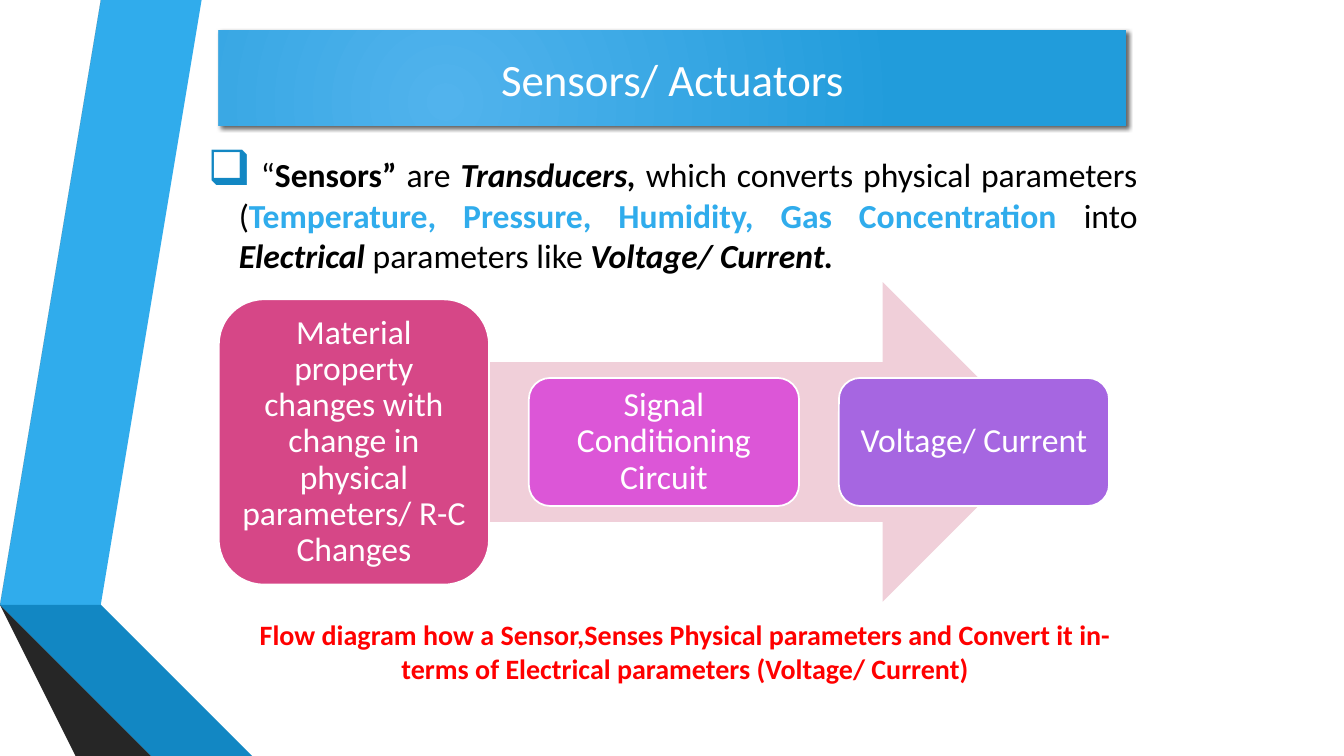
from lxml.etree import SubElement
from pptx import Presentation
from pptx.dml.color import RGBColor
from pptx.enum.shapes import MSO_SHAPE
from pptx.enum.text import MSO_ANCHOR, PP_ALIGN
from pptx.oxml import parse_xml
from pptx.oxml.ns import nsdecls, qn
from pptx.util import Inches, Pt

TITLE = "Sensors/ Actuators"
BLACK, BLUE, WHITE = "000000", "30ACEC", "FFFFFF"
# text, bold, italic, colour
INTRO = [
    (" “", False, False, BLACK),
    ("Sensors”", True, False, BLACK),
    (" are ", False, False, BLACK),
    ("Transducers, ", True, True, BLACK),
    ("which converts physical parameters (", False, False, BLACK),
    ("Temperature, Pressure, Humidity, Gas Concentration ", True, False, BLUE),
    ("into ", False, False, BLACK),
    ("Electrical", True, True, BLACK),
    (" parameters like ", False, False, BLACK),
    ("Voltage/ Current.", True, True, BLACK),
]
# text, height, colour
STEPS = [
    ("Material property changes with change in physical parameters/ R-C Changes",
     2.83, "D64787"),
    ("Signal Conditioning Circuit", 1.27, "DC56D7"),
    ("Voltage/ Current", 1.27, "A666E1"),
]
CAPTION = ("Flow diagram how a Sensor,Senses Physical parameters and Convert it "
           "in-terms of Electrical parameters (Voltage/ Current)")
BANDS = [
    (BLUE, [(0.5, 5.78), (0.77, 5.83), (1.73, 0), (1.45, 0)]),
    ("595959", [(1.39, 0), (1.11, 0), (0.16, 5.73), (0.44, 5.77)]),
    ("262626", [(0.16, 5.73), (1.45, 7.5), (1.51, 7.5)]),
    ("0C5A82", [(0.5, 5.79), (2.08, 7.5), (2.14, 7.5)]),
    ("1287C3", [(0.5, 5.78), (0.5, 5.79), (2.14, 7.5), (2.83, 7.5), (0.77, 5.83)]),
    ("404040", [(2.02, 7.5), (0.48, 5.83), (0.43, 5.77), (0.16, 5.73), (1.51, 7.5)]),
]
STEP_X, STEP_W, PITCH, MID_Y = 2.17, 2.68, 3.075, 4.385

deck = Presentation()
deck.slide_width, deck.slide_height = Inches(13.33), Inches(7.5)
shapes = deck.slides.add_slide(deck.slide_layouts[6]).shapes


def color(code):
    return RGBColor.from_string(code)


def paint(shape, code):
    """Flat fill with no outline and no shadow."""
    shape.shadow.inherit = False
    shape.fill.solid()
    shape.fill.fore_color.rgb = color(code)
    shape.line.fill.background()


def add(kind, x, y, w, h, code):
    shape = shapes.add_shape(kind, Inches(x), Inches(y), Inches(w), Inches(h))
    paint(shape, code)
    return shape


def box(x, y, w, h):
    frame = shapes.add_textbox(Inches(x), Inches(y), Inches(w), Inches(h)).text_frame
    frame.word_wrap = True
    return frame


def style(para, size, code=None, align=PP_ALIGN.CENTER):
    para.alignment = align
    para.font.name, para.font.size = "Calibri", Pt(size)
    if code:
        para.font.color.rgb = color(code)


def write(frame, text, size, code):
    frame.word_wrap = True
    para = frame.paragraphs[0]
    para.text = text
    style(para, size, code)
    return para


def glow(shape):
    """Radial blue gradient and a soft shadow below."""
    props = shape._element.spPr
    props.replace(props.find(qn("a:solidFill")), parse_xml(
        f'<a:gradFill {nsdecls("a")} rotWithShape="1"><a:gsLst>'
        '<a:gs pos="0"><a:srgbClr val="51B3ED"/></a:gs>'
        '<a:gs pos="100000"><a:srgbClr val="219CDB"/></a:gs></a:gsLst>'
        '<a:path path="circle"><a:fillToRect l="50000" t="100000" r="100000" '
        'b="50000"/></a:path></a:gradFill>'))
    props.find(qn("a:effectLst")).append(parse_xml(
        f'<a:outerShdw {nsdecls("a")} blurRad="38100" dist="25400" dir="2700000">'
        '<a:srgbClr val="000000"><a:alpha val="60000"/></a:srgbClr></a:outerShdw>'))


def bullet(para, mark, code, percent):
    props = para._p.get_or_add_pPr()
    props.set("marL", str(Inches(0.31)))
    props.set("indent", str(-Inches(0.31)))
    SubElement(SubElement(props, qn("a:buClr")), qn("a:srgbClr")).set("val", code)
    SubElement(props, qn("a:buSzPct")).set("val", str(percent * 1000))
    SubElement(props, qn("a:buChar")).set("char", mark)


for code, points in BANDS:
    path = shapes.build_freeform(*points[0], scale=Inches(1))
    path.add_line_segments(points[1:], close=True)
    paint(path.convert_to_shape(), code)

banner = add(MSO_SHAPE.RECTANGLE, 2.17, 0.3, 9, 0.95, BLUE)
glow(banner)
banner.text_frame.vertical_anchor = MSO_ANCHOR.MIDDLE
write(banner.text_frame, TITLE, 32, WHITE)

intro = box(1.96, 1.48, 9.42, 1.35).paragraphs[0]
bullet(intro, "❑", "1287C3", 145)
style(intro, 24, align=PP_ALIGN.JUSTIFY)
for text, bold, italic, code in INTRO:
    run = intro.add_run()
    run.text = text
    run.font.bold, run.font.italic = bold, italic
    run.font.color.rgb = color(code)

add(MSO_SHAPE.RIGHT_ARROW, 2.83, 2.8, 7.51, 3.17, "F0CFD9")
for i, (text, high, code) in enumerate(STEPS):
    step = add(MSO_SHAPE.ROUNDED_RECTANGLE, STEP_X + i * PITCH, MID_Y - high / 2,
               STEP_W, high, code)
    step.line.color.rgb, step.line.width = color(WHITE), Pt(1.25)
    frame = step.text_frame
    frame.margin_left = frame.margin_right = Inches(0.1)
    frame.margin_top = frame.margin_bottom = Inches(0.1)
    frame.vertical_anchor = MSO_ANCHOR.MIDDLE
    write(frame, text, 24, WHITE).line_spacing = 0.9

write(box(2.42, 6.08, 8.75, 0.77), CAPTION, 20, "FF0000").font.bold = True

deck.save("out.pptx")
